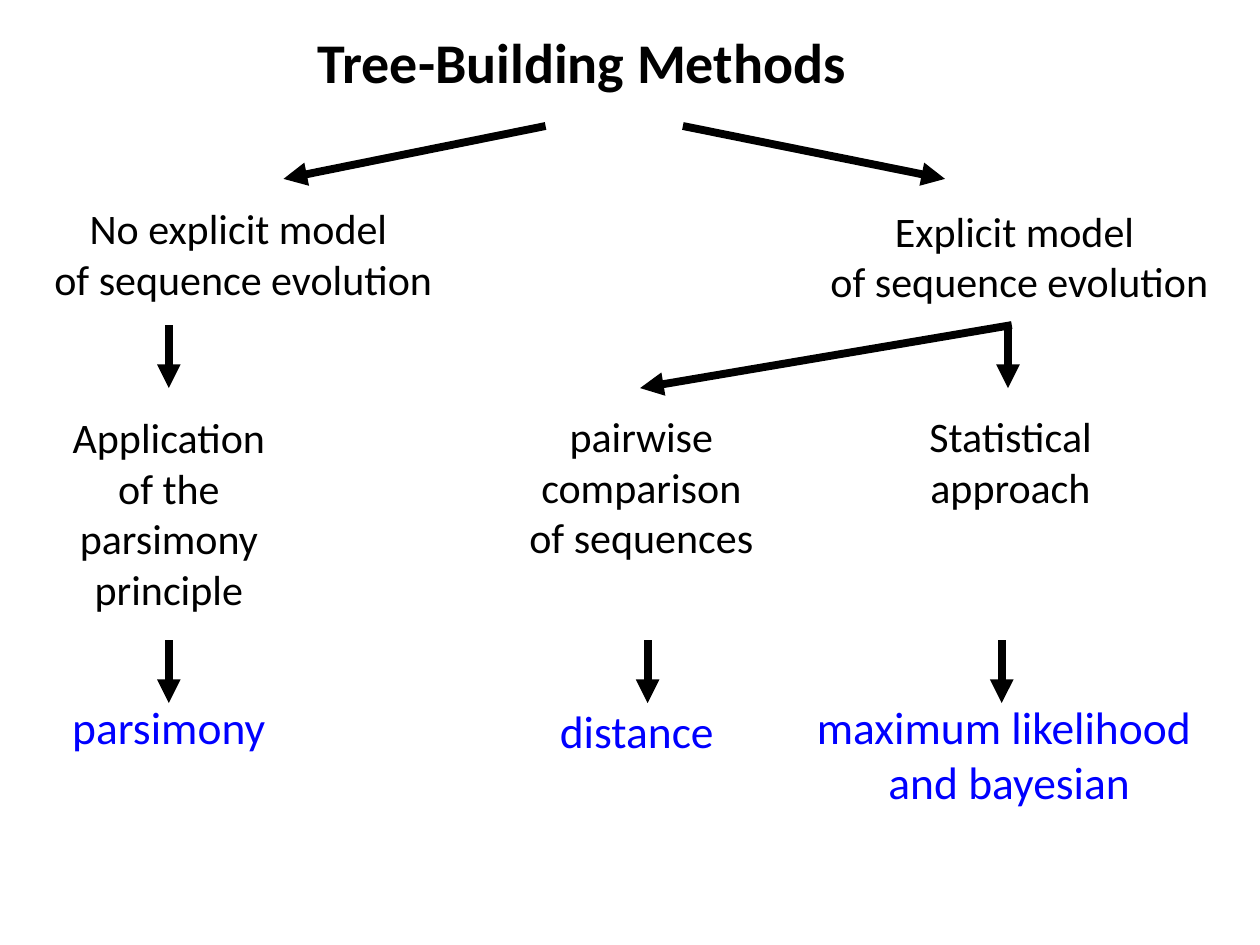
from pptx import Presentation
from pptx import util as u
from pptx.dml.color import RGBColor
from pptx.enum import shapes, text
from pptx.oxml.ns import qn
from lxml import etree

BLACK, BLUE = "000000", "0000FF"

presentation = Presentation()
presentation.slide_width, presentation.slide_height = u.Inches(10), u.Inches(7.5)
slide = presentation.slides.add_slide(presentation.slide_layouts[5])


def write(shape, content, size=24, color=BLACK, bold=False,
          align=text.PP_ALIGN.CENTER):
    frame = shape.text_frame
    frame.word_wrap = True
    frame.auto_size = text.MSO_AUTO_SIZE.NONE
    frame.vertical_anchor = text.MSO_ANCHOR.TOP
    frame.text = content
    for paragraph in frame.paragraphs:
        paragraph.alignment = align
        font = paragraph.font
        font.name, font.size, font.bold = "Calibri", u.Pt(size), bold
        font.color.rgb = RGBColor.from_string(color)


def add_arrow(x1, y1, x2, y2):
    arrow = slide.shapes.add_connector(
        shapes.MSO_CONNECTOR.STRAIGHT, *map(u.Inches, (x1, y1, x2, y2)))
    arrow.line.width = u.Pt(4.5)
    arrow.line.color.rgb = RGBColor.from_string(BLACK)
    etree.SubElement(arrow.line._get_or_add_ln(), qn("a:tailEnd"), type="triangle")
    etree.SubElement(arrow._element.spPr, qn("a:effectLst"))


# Title
title = slide.shapes.title
title.left, title.top, title.width, title.height = map(
    u.Inches, (2.42, 0.17, 5.04, 0.64))
write(title, "Tree-Building Methods", size=32, bold=True, align=text.PP_ALIGN.LEFT)

# Models and approaches in black, resulting methods in blue
labels = [
    (0.19, 1.56, 3.48, 0.91, "No explicit model \nof sequence evolution", 24, BLACK),
    (6.35, 1.58, 3.48, 0.91, "Explicit model \nof sequence evolution", 24, BLACK),
    (0.33, 3.22, 2.02, 1.72, "Application of the parsimony principle", 24, BLACK),
    (4.08, 3.21, 2.02, 1.72, "pairwise comparison of sequences", 24, BLACK),
    (7.01, 3.21, 2.02, 0.91, "Statistical approach", 24, BLACK),
    (0.4, 5.5, 1.88, 0.54, "parsimony", 26, BLUE),
    (4.19, 5.53, 1.81, 0.53, "distance ", 26, BLUE),
    (6.27, 5.5, 3.48, 0.97, "maximum likelihood \nand bayesian", 26, BLUE),
]
for left, top, width, height, content, size, color in labels:
    box = slide.shapes.add_textbox(*map(u.Inches, (left, top, width, height)))
    write(box, content, size=size, color=color)

# Slanted branches
add_arrow(4.33, 1, 2.25, 1.42)
add_arrow(5.42, 1, 7.5, 1.42)
add_arrow(8.03, 2.58, 5.08, 3.08)

# Vertical steps, all half an inch long
for x, y in [(1.34, 2.58), (8, 2.58), (1.34, 5.08), (5.14, 5.08), (7.95, 5.08)]:
    add_arrow(x, y, x, y + 0.5)

presentation.save("out.pptx")
